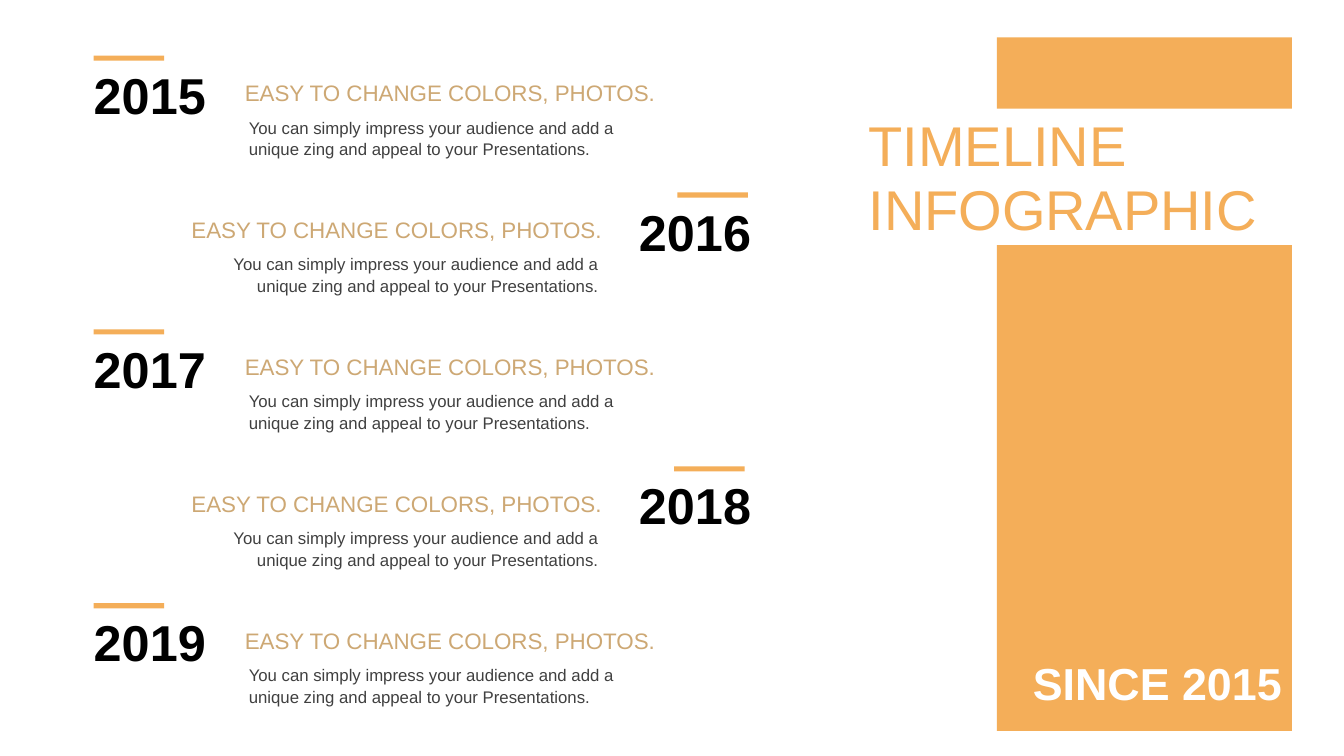
from pptx import Presentation
from pptx.dml.color import RGBColor
from pptx.enum.shapes import MSO_SHAPE
from pptx.enum.text import MSO_ANCHOR, PP_ALIGN
from pptx.util import Cm, Pt

THEME = {
    "font": "Arial",
    "orange": RGBColor(0xF4, 0xAE, 0x59),
    "white": RGBColor(0xFF, 0xFF, 0xFF),
    "title": {"size": Pt(40), "bold": False, "color": RGBColor(0xF4, 0xAE, 0x59)},
    "since": {"size": Pt(32), "bold": True, "color": RGBColor(0xFF, 0xFF, 0xFF)},
    "year": {"size": Pt(36), "bold": True, "color": RGBColor(0, 0, 0)},
    "heading": {"size": Pt(16), "bold": False, "color": RGBColor(0xCD, 0xA8, 0x74)},
    "body": {"size": Pt(12), "bold": False, "color": RGBColor(0x40, 0x40, 0x40)},
}

prs = Presentation()
prs.slide_width, prs.slide_height = Cm(33.87), Cm(19.05)
s = prs.slides.add_slide(prs.slide_layouts[6])


def add_block(left, top, width, height, fill):
    sp = s.shapes.add_shape(MSO_SHAPE.RECTANGLE, Cm(left), Cm(top), Cm(width), Cm(height))
    sp.shadow.inherit = False
    sp.fill.solid()
    sp.fill.fore_color.rgb = THEME[fill]
    sp.line.fill.background()
    return sp


def add_text(left, top, width, height, text, style, align, anchor=MSO_ANCHOR.TOP, spacing=1.0):
    sp = s.shapes.add_textbox(Cm(left), Cm(top), Cm(width), Cm(height))
    tf = sp.text_frame
    tf.word_wrap = True
    tf.vertical_anchor = anchor
    p = tf.paragraphs[0]
    p.alignment, p.line_spacing = align, spacing
    r = p.add_run()
    r.text = text
    r.font.name = THEME["font"]
    r.font.color.rgb = THEME[style]["color"]
    for name in ("size", "bold"):
        setattr(r.font, name, THEME[style][name])
    return tf


# Title panel
add_block(25.12, 0.94, 7.44, 17.48, "orange")
add_block(21.64, 2.74, 10.92, 3.43, "white")
title = add_text(21.64, 2.74, 10.92, 3.43, "TIMELINE INFOGRAPHIC", "title",
                 PP_ALIGN.JUSTIFY, MSO_ANCHOR.MIDDLE, 0.95)
title.margin_top = Cm(0.25)
add_text(25.5, 16.41, 7.06, 1.63, "SINCE 2015", "since", PP_ALIGN.RIGHT)

# Timeline: years alternate between the left and right side
LEFT = {"year": 1.68, "heading": 5.92, "body": 6.02, "align": PP_ALIGN.LEFT}
RIGHT = {"year": 15.42, "heading": 4.5, "body": 4.57, "align": PP_ALIGN.RIGHT}
ROWS = [("2015", LEFT, 2.36), ("2016", RIGHT, 17.07), ("2017", LEFT, 2.36),
        ("2018", RIGHT, 16.99), ("2019", LEFT, 2.36)]
PITCH = 3.45

for i, (year, side, bar_left) in enumerate(ROWS):
    top = 1.4 + i * PITCH
    add_text(side["year"], top + 0.07, 4.19, 1.8, year, "year",
             PP_ALIGN.CENTER, MSO_ANCHOR.MIDDLE)
    add_block(bar_left, top, 1.78, 0.13, "orange")
    add_text(side["body"], top + 1.39, 10.77, 1.27,
             "You can simply impress your audience and add a "
             "unique zing and appeal to your Presentations.",
             "body", side["align"], spacing=1.08)
    add_text(side["heading"], top + 0.48, 10.92, 0.94,
             "EASY TO CHANGE COLORS, PHOTOS.", "heading", side["align"])

prs.save("out.pptx")
